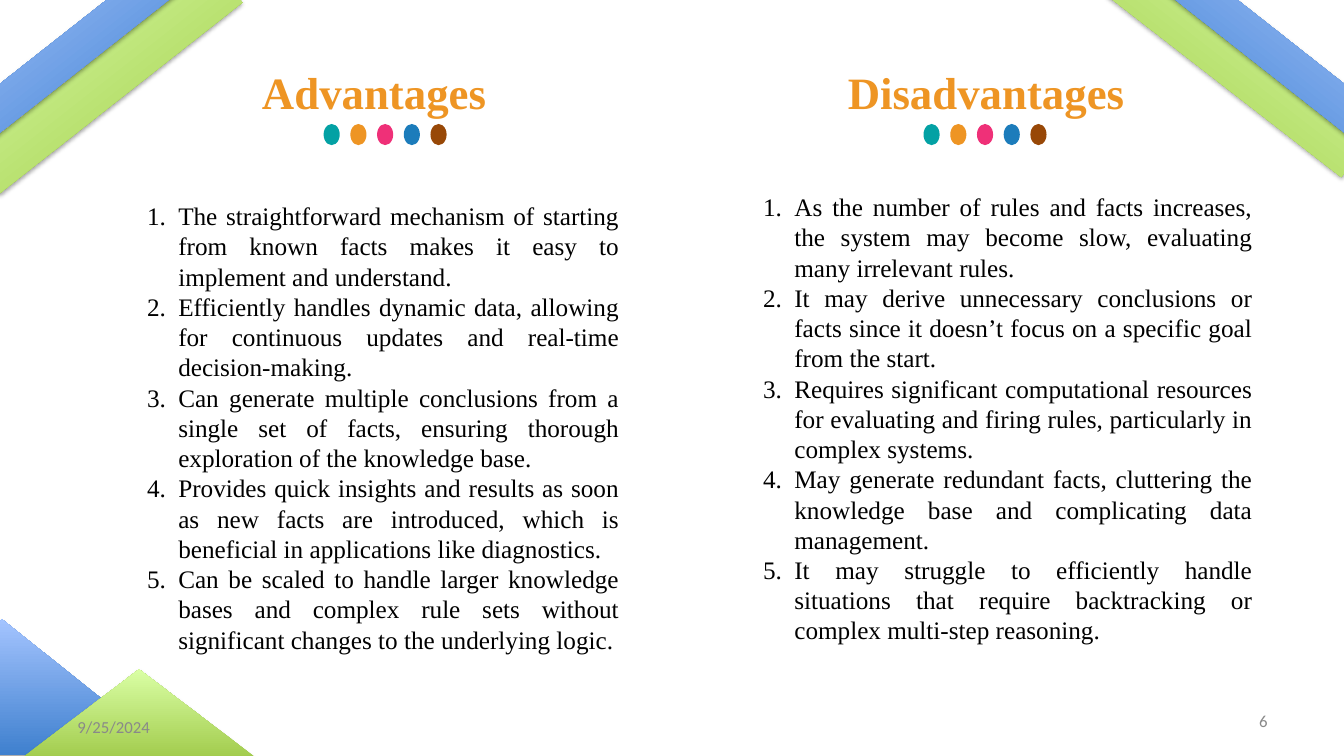
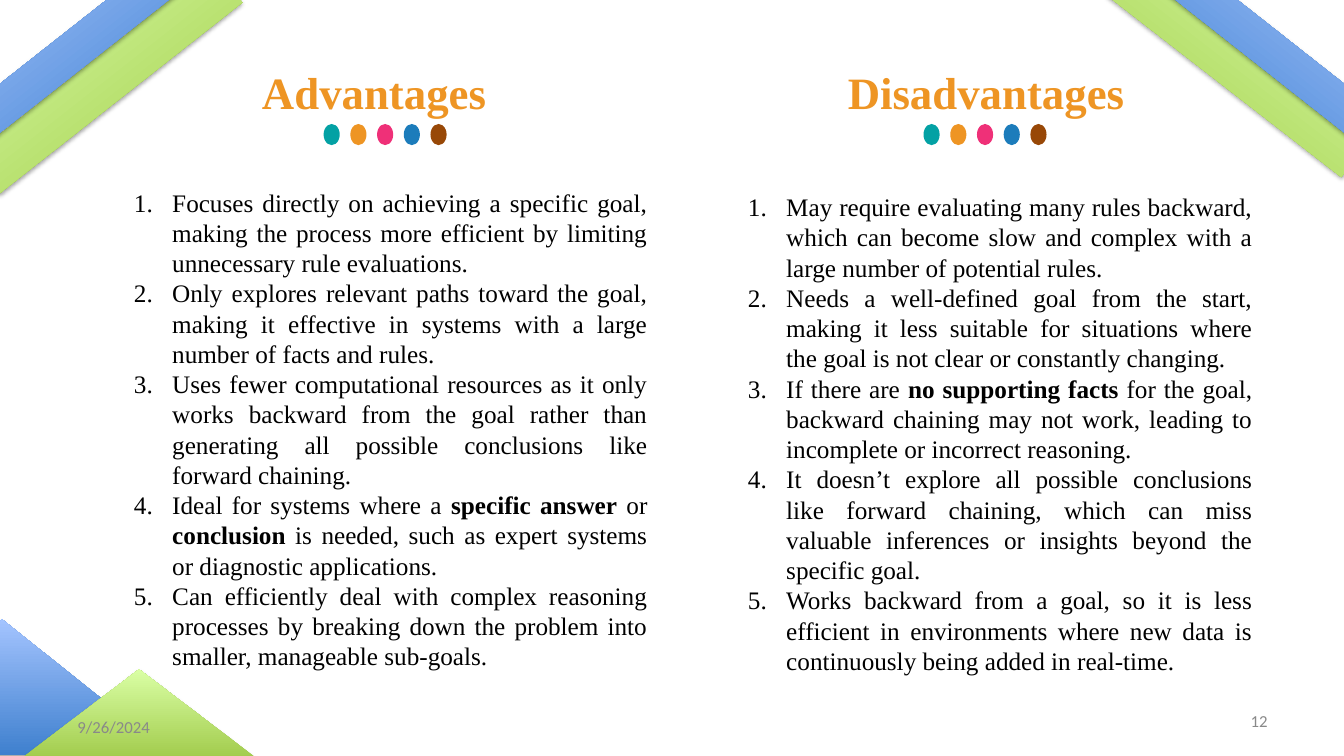
"""Two slides weighing advantages against disadvantages of chaining."""
from lxml import etree
from pptx import Presentation
from pptx.dml.color import RGBColor
from pptx.enum import shapes, text
from pptx.oxml import parse_xml
from pptx.util import Inches, Pt

HUES = {"teal": "03A1A4", "gold": "EE9524", "pink": "EF3078",
        "blue": "1C7CBB", "brown": "984807", "black": "000000", "gray": "898989"}
FADES = {"green": ("A0CA4A", "DAFFA5"), "sky": ("3F80CE", "A4C4FF")}
DOTS = ["teal", "gold", "pink", "blue", "brown"]
NS = "http://schemas.openxmlformats.org/drawingml/2006/main"
SHADE = f"""<a:effectLst xmlns:a="{NS}">
<a:outerShdw blurRad="40000" dist="23000" dir="5400000" rotWithShape="0">
<a:srgbClr val="000000"><a:alpha val="35000"/></a:srgbClr>
</a:outerShdw></a:effectLst>"""
KIND = shapes.MSO_SHAPE
SIDE = text.PP_ALIGN
ANCHOR = text.MSO_ANCHOR
SERIF = "Times New Roman"

DECOR = [
    (KIND.RECTANGLE, (-0.47, 0.56, 3.06, 0.46), 321.8, "green", None),
    (KIND.RECTANGLE, (-0.69, 0.38, 2.66, 0.38), 321.8, "sky", None),
    (KIND.ISOSCELES_TRIANGLE, (-0.52, 6.14, 2.23, 1.35), 0, "sky", 0.24),
    (KIND.ISOSCELES_TRIANGLE, (0.18, 6.64, 2.4, 0.91), 0, "green", 0.5),
    (KIND.RECTANGLE, (10.8, 0.48, 2.94, 0.42), 37.8, "green", None),
    (KIND.RECTANGLE, (11.26, 0.3, 2.66, 0.38), 38.2, "sky", None),
]
HEADS = [("Advantages", 2.5, 3.21), ("Disadvantages", 8.31, 9.16)]

PAGES = [
    ("9/25/2024", "6", [
        ((0.86, 1.94, 5.38, 4.64), 0.81, 0.31, ANCHOR.TOP, [
            "The straightforward mechanism of starting from known facts makes it easy to implement and understand.",
            "Efficiently handles dynamic data, allowing for continuous updates and real-time decision-making.",
            "Can generate multiple conclusions from a single set of facts, ensuring thorough exploration of the knowledge base.",
            "Provides quick insights and results as soon as new facts are introduced, which is beneficial in applications like diagnostics.",
            "Can be scaled to handle larger knowledge bases and complex rule sets without significant changes to the underlying logic.",
        ]),
        ((6.97, 1.85, 5.55, 4.64), 0.81, 0.31, ANCHOR.TOP, [
            "As the number of rules and facts increases, the system may become slow, evaluating many irrelevant rules.",
            "It may derive unnecessary conclusions or facts since it doesn’t focus on a specific goal from the start.",
            "Requires significant computational resources for evaluating and firing rules, particularly in complex systems.",
            "May generate redundant facts, cluttering the knowledge base and complicating data management.",
            "It may struggle to efficiently handle situations that require backtracking or complex multi-step reasoning.",
        ]),
    ]),
    ("9/26/2024", "12", [
        ((1.23, 1.78, 5.29, 4.95), 0.38, 0.38, ANCHOR.MIDDLE, [
            "Focuses directly on achieving a specific goal, making the process more efficient by limiting unnecessary rule evaluations.",
            "Only explores relevant paths toward the goal, making it effective in systems with a large number of facts and rules.",
            "Uses fewer computational resources as it only works backward from the goal rather than generating all possible conclusions like forward chaining.",
            "Ideal for systems where a **specific answer** or **conclusion** is needed, such as expert systems or diagnostic applications.",
            "Can efficiently deal with complex reasoning processes by breaking down the problem into smaller, manageable sub-goals.",
        ]),
        ((6.82, 1.85, 5.7, 4.95), 0.88, 0.38, ANCHOR.TOP, [
            "May require evaluating many rules backward, which can become slow and complex with a large number of potential rules.",
            "Needs a well-defined goal from the start, making it less suitable for situations where the goal is not clear or constantly changing.",
            "If there are **no supporting facts** for the goal, backward chaining may not work, leading to incomplete or incorrect reasoning.",
            "It doesn’t explore all possible conclusions like forward chaining, which can miss valuable inferences or insights beyond the specific goal.",
            "Works backward from a goal, so it is less efficient in environments where new data is continuously being added in real-time.",
        ]),
    ]),
]


def write(slide, area, lines, size, face, hue, align=SIDE.LEFT, anchor=ANCHOR.TOP):
    box = slide.shapes.add_textbox(*map(Inches, area))
    frame = box.text_frame
    frame.word_wrap = True
    frame.vertical_anchor = anchor
    for i, line in enumerate(lines):
        para = frame.add_paragraph() if i else frame.paragraphs[0]
        para.alignment = align
        for j, part in enumerate(line.split("**")):
            if part:
                run = para.add_run()
                run.text = part
                run.font.size = Pt(size)
                run.font.name = face
                run.font.bold = j % 2 == 1
                run.font.color.rgb = RGBColor.from_string(HUES[hue])
    return frame


deck = Presentation()
deck.slide_width, deck.slide_height = Inches(13.33), Inches(7.5)

for date, number, lists in PAGES:
    slide = deck.slides.add_slide(deck.slide_layouts[6])

    for kind, area, turn, fade, peak in DECOR:
        shape = slide.shapes.add_shape(kind, *map(Inches, area))
        shape.rotation = turn
        if peak is not None:
            shape.adjustments[0] = peak
        shape.fill.gradient()
        shape.fill.gradient_angle = 90
        for stop, tone in zip(shape.fill.gradient_stops, FADES[fade]):
            stop.color.rgb = RGBColor.from_string(tone)
        shape.line.fill.background()
        shape._element.spPr.append(parse_xml(SHADE))

    write(slide, (0.67, 7.01, 3.11, 0.4), [date], 12, "Calibri", "gray",
          anchor=ANCHOR.MIDDLE)
    write(slide, (9.56, 6.95, 3.11, 0.4), [number], 12, "Calibri", "gray",
          SIDE.RIGHT, ANCHOR.MIDDLE)

    for title, left, start in HEADS:
        write(slide, (left, 0.59, 3.02, 0.64), [f"**{title}**"], 32, SERIF, "gold")
        group = slide.shapes.add_group_shape()
        for i, hue in enumerate(DOTS):
            dot = group.shapes.add_shape(
                KIND.OVAL, Inches(start + i * 1.06 / 4), Inches(1.23),
                Inches(0.16), Inches(0.21))
            dot.shadow.inherit = False
            dot.fill.solid()
            dot.fill.fore_color.rgb = RGBColor.from_string(HUES[hue])
            dot.line.fill.background()

    for area, margin, hang, anchor, lines in lists:
        frame = write(slide, area, lines, 18, SERIF, "black", SIDE.JUSTIFY, anchor)
        frame.auto_size = text.MSO_AUTO_SIZE.SHAPE_TO_FIT_TEXT
        for para in frame.paragraphs:
            props = para._p.get_or_add_pPr()
            props.set("marL", str(Inches(margin)))
            props.set("indent", str(-Inches(hang)))
            etree.SubElement(props, f"{{{NS}}}buFont", typeface="+mj-lt")
            etree.SubElement(props, f"{{{NS}}}buAutoNum", type="arabicPeriod")

deck.save("out.pptx")
